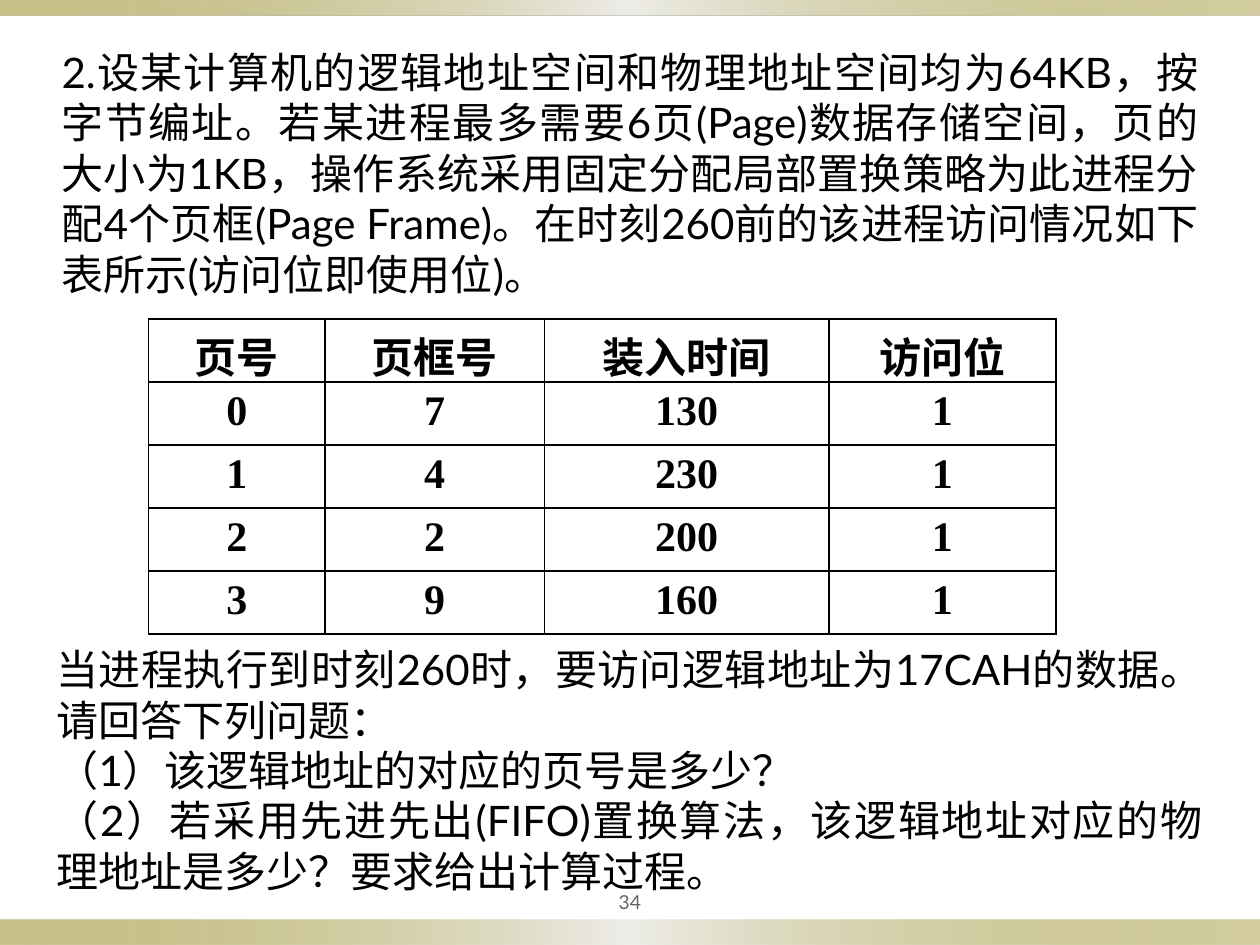
import pptx
import pptx.util
import pptx.dml.color
import pptx.enum.shapes
import pptx.enum.text
import pptx.oxml
import pptx.oxml.ns
import lxml.etree

PX = 9144  # 100 px to the inch
qn = pptx.oxml.ns.qn
align = pptx.enum.text.PP_ALIGN
NS = "http://schemas.openxmlformats.org/drawingml/2006/main"


def rgb(code):
    return pptx.dml.color.RGBColor.from_string(code)


def write(para, text, size, font, color, side, bold=False):
    para.alignment = side
    run = para.add_run()
    run.text = text
    run.font.size = pptx.util.Pt(size)
    run.font.name = font
    run.font.bold = bold
    run.font.color.rgb = rgb(color)


deck = pptx.Presentation()
deck.slide_width, deck.slide_height = 1000 * PX, 750 * PX
slide = deck.slides.add_slide(deck.slide_layouts[6])
shapes = slide.shapes

# Gradient bands at the bottom and top edges
stops = [(0, "918415", 50), (50, "EEEDE8", 100), (100, "918415", 40)]
for top, high in [(730, 20), (0, 12)]:
    band = shapes.add_shape(pptx.enum.shapes.MSO_SHAPE.RECTANGLE,
                            0, top * PX, 1000 * PX, high * PX)
    band.shadow.inherit = False
    band.line.fill.background()
    band.fill.gradient()
    band.fill.gradient_angle = 0
    listing = band._element.spPr.find(".//" + qn("a:gsLst"))
    for old in list(listing):
        listing.remove(old)
    for pos, color, alpha in stops:
        listing.append(pptx.oxml.parse_xml(
            f'<a:gs xmlns:a="{NS}" pos="{pos * 1000}"><a:srgbClr val="{color}">'
            f'<a:alpha val="{alpha * 1000}"/></a:srgbClr></a:gs>'))

# Page number
box = shapes.add_textbox(450 * PX, 700 * PX, 100 * PX, 31 * PX)
frame = box.text_frame
frame.word_wrap = True
frame.vertical_anchor = pptx.enum.text.MSO_ANCHOR.MIDDLE
frame.margin_left = frame.margin_right = 5 * PX
write(frame.paragraphs[0], "34", 11, "Lato", "636363", align.CENTER)

# Problem text above the table, questions below it
blocks = [
    (39, 32, 922, [
        "2.设某计算机的逻辑地址空间和物理地址空间均为64KB，按字节编址。"
        "若某进程最多需要6页(Page)数据存储空间，页的大小为1KB，"
        "操作系统采用固定分配局部置换策略为此进程分配4个页框(Page Frame)。"
        "在时刻260前的该进程访问情况如下表所示(访问位即使用位)。"]),
    (35, 506, 929, [
        "当进程执行到时刻260时，要访问逻辑地址为17CAH的数据。请回答下列问题：",
        "（1）该逻辑地址的对应的页号是多少？",
        "（2）若采用先进先出(FIFO)置换算法，该逻辑地址对应的物理地址是多少？"
        "要求给出计算过程。"]),
]
for left, top, wide, lines in blocks:
    box = shapes.add_textbox(left * PX, top * PX, wide * PX, 212 * PX)
    frame = box.text_frame
    frame.word_wrap = True
    for i, line in enumerate(lines):
        para = frame.add_paragraph() if i else frame.paragraphs[0]
        write(para, line, 24, "Lato", "000000", align.JUSTIFY)

# Page table
rows = [
    ["页号", "页框号", "装入时间", "访问位"],
    ["0", "7", "130", "1"],
    ["1", "4", "230", "1"],
    ["2", "2", "200", "1"],
    ["3", "9", "160", "1"],
]
table = shapes.add_table(5, 4, 118 * PX, 253 * PX, 720 * PX, 250 * PX).table
table.first_row = table.horz_banding = False
for col, wide in zip(table.columns, [140, 174, 226, 180]):
    col.width = wide * PX
for r, row in enumerate(rows):
    table.rows[r].height = 50 * PX
    for c, text in enumerate(row):
        cell = table.cell(r, c)
        cell.margin_top = 5 * PX
        cell.margin_bottom = 0
        write(cell.text_frame.paragraphs[0], text, 24, "Times New Roman",
              "000000", align.CENTER, True)
        cell.fill.background()
        props = cell._tc.get_or_add_tcPr()
        for i, edge in enumerate(["lnL", "lnR", "lnT", "lnB"]):
            props.insert(i, pptx.oxml.parse_xml(
                f'<a:{edge} xmlns:a="{NS}" w="12700"><a:solidFill>'
                f'<a:srgbClr val="000000"/></a:solidFill></a:{edge}>'))

deck.save("out.pptx")
